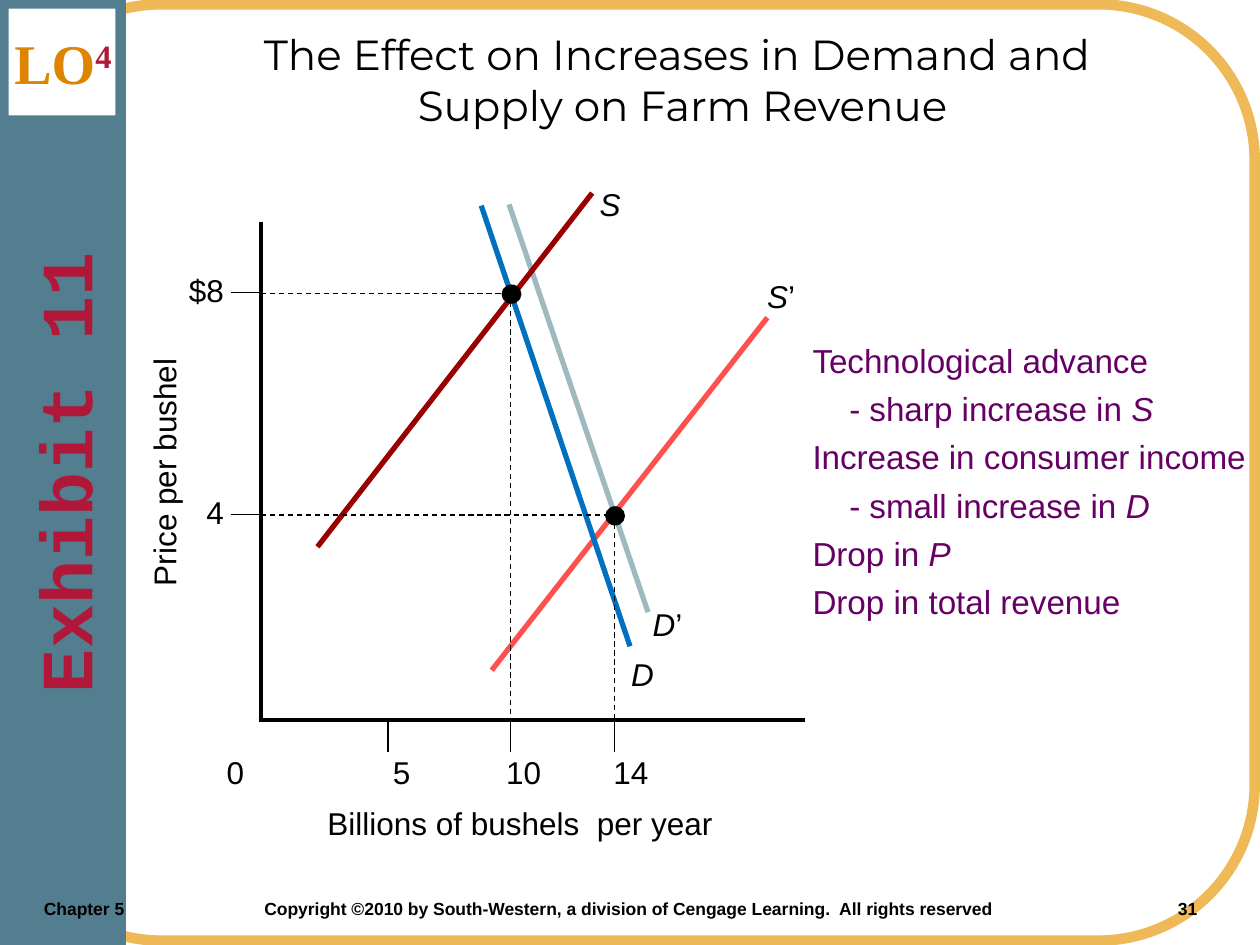
from lxml import etree
from pptx import Presentation
from pptx.dml.color import RGBColor
from pptx.enum.dml import MSO_LINE
from pptx.enum.shapes import MSO_CONNECTOR, MSO_SHAPE
from pptx.enum.text import MSO_ANCHOR, MSO_AUTO_SIZE, PP_ALIGN
from pptx.oxml.ns import qn
from pptx.util import Pt

CENTER, MIDDLE = PP_ALIGN.CENTER, MSO_ANCHOR.MIDDLE
FIT_SHAPE = MSO_AUTO_SIZE.SHAPE_TO_FIT_TEXT
STRAIGHT, DASH = MSO_CONNECTOR.STRAIGHT, MSO_LINE.DASH
RECT, ROUNDED, OVAL = MSO_SHAPE.RECTANGLE, MSO_SHAPE.ROUNDED_RECTANGLE, MSO_SHAPE.OVAL

COLORS = {
    "frame": "F0B957", "band": "537E90", "white": "FFFFFF", "black": "000000",
    "crimson": "B11738", "orange": "DD8401", "notes": "660066",
    "S": "990000", "S’": "FF5050", "D": "0070C0", "D’": "9FB9C1",
}

TITLE = "The Effect on Increases in Demand and \vSupply on Farm Revenue"
FOOTER = ("\tChapter 5\tCopyright ©2010 by South-Western, a division of "
          "Cengage Learning.  All rights reserved \t31")
FOOTER_TABS = (18, 144, 666)

# curve name, start, end, label box
CURVES = [
    ("S’", (438.5, 181.5), (281, 383), (431.3, 154.8, 32)),
    ("D’", (290.9, 116.8), (370.3, 349.8), (365.8, 342, 34)),
    ("D", (275, 117.5), (360, 369.3), (353.5, 370.8, 27.4)),
    ("S", (338.4, 110.3), (181.4, 312.5), (335.5, 102.2, 26.4)),
]
# (text, position on the axis, label start, label width)
QUANTITIES = [("5", 221.7, 217.4, 24.5), ("10", 291.8, 282.2, 34.6), ("14", 351, 343.4, 34.6)]
PRICES = [("$8", 167.6, 100.8, 34.6), ("4", 294.3, 110.9, 24.5)]
EQUILIBRIA = [("10", "$8"), ("14", "4")]
AXIS_X, AXIS_Y, AXIS_TOP, AXIS_RIGHT = 149, 411.3, 126.7, 460
TICK = 18.7
DOT_W, DOT_H = 11.4, 11
LABEL_H, LABEL_Y = 28.8, 427

# (text, trailing italic symbol, left indent)
NOTES = [
    ("Technological advance", "", 0),
    ("- sharp increase in ", "S", 21),
    ("Increase in consumer income", "", 0),
    ("- small increase in ", "D", 21),
    ("Drop in ", "P", 0),
    ("Drop in total revenue", "", 0),
]

prs = Presentation()
prs.slide_width, prs.slide_height = Pt(720), Pt(540)
slide = prs.slides.add_slide(prs.slide_layouts[6])


def rgb(name):
    return RGBColor.from_string(COLORS[name])


def add_box(kind, x, y, w, h, fill=None):
    s = slide.shapes.add_shape(kind, Pt(x), Pt(y), Pt(w), Pt(h))
    s.shadow.inherit = False
    s.line.fill.background()
    if fill:
        s.fill.solid()
        s.fill.fore_color.rgb = rgb(fill)
    else:
        s.fill.background()
    return s


def add_line(start, end, color="black", width=0.75, dash=None):
    s = slide.shapes.add_connector(STRAIGHT, *(Pt(v) for v in start + end))
    s.line.color.rgb = rgb(color)
    s.line.width = Pt(width)
    if dash:
        s.line.dash_style = dash
    etree.SubElement(s._element.spPr, qn("a:effectLst"))


def format_run(r, size, color="black", font="Arial", bold=False, italic=False):
    r.font.size, r.font.name = Pt(size), font
    r.font.bold, r.font.italic = bold, italic
    r.font.color.rgb = rgb(color)


def add_text(x, y, w, h, paragraphs, align=None, wrap=False, gap=0, **style):
    """Paragraphs are lists of (text, run style) pairs; style applies to all."""
    s = slide.shapes.add_textbox(Pt(x), Pt(y), Pt(w), Pt(h))
    tf = s.text_frame
    tf.word_wrap = wrap
    if not wrap:
        tf.auto_size = FIT_SHAPE
    for i, parts in enumerate(paragraphs):
        p = tf.add_paragraph() if i else tf.paragraphs[0]
        p.alignment = align
        if i:
            p.space_before = Pt(gap)
        for text, own in parts:
            for j, line in enumerate(text.split("\v")):
                if j:
                    p.add_line_break()
                r = p.add_run()
                r.text = line
                format_run(r, **{**style, **own})
    return s


def add_label(x, y, w, text, **options):
    return add_text(x, y, w, LABEL_H, [[(text, {})]], size=18, **options)


# Frame, side band and footer
frame = add_box(ROUNDED, 3, 2.5, 714, 535)
frame.line.color.rgb = rgb("frame")
frame.line.width = Pt(6)
add_box(RECT, 0, 0, 72, 540, "band")
add_box(RECT, 5, 5, 61, 61, "white")
footer = add_text(0, 509.8, 720, 30, [[(FOOTER, {})]], wrap=True, size=10, bold=True)
pPr = footer.text_frame.paragraphs[0]._p.get_or_add_pPr()
tabs = etree.SubElement(pPr, qn("a:tabLst"))
for pos in FOOTER_TABS:
    etree.SubElement(tabs, qn("a:tab"), pos=str(Pt(pos)), algn="l")

# Headings
badge = add_text(0, 13, 72, 46, [[("LO", {}), ("4", {"color": "crimson"})]], CENTER, True,
                 size=32, color="orange", font="Times New Roman", bold=True)
badge.text_frame.paragraphs[0].runs[1].font._element.set("baseline", "30000")
add_text(66, 13, 648, 65, [[(TITLE, {})]], CENTER, True, size=24, font="Montserrat")
exhibit = add_text(-234, 234, 540, 72, [[("Exhibit 11", {})]], CENTER, True,
                   size=42, color="crimson", font="Courier New", bold=True)
exhibit.text_frame.vertical_anchor = MIDDLE
exhibit.rotation = 270

# Curves
for name, start, end, (x, y, w) in CURVES:
    add_line(start, end, name, 3)
    parts = [(name[0], {"italic": True})] + [(mark, {}) for mark in name[1:]]
    add_text(x, y, w, LABEL_H, [parts], size=18)

# Axes, ticks and their labels
add_line((AXIS_X - 1, AXIS_Y), (AXIS_RIGHT, AXIS_Y), width=2.25)
add_line((AXIS_X, AXIS_TOP), (AXIS_X, AXIS_Y), width=2.25)
for text, x, label_x, w in QUANTITIES:
    add_line((x, AXIS_Y), (x, AXIS_Y + TICK))
    add_label(label_x, LABEL_Y, w, text)
for text, y, label_x, w in PRICES:
    add_line((AXIS_X - TICK + 1.5, y - 0.3), (AXIS_X, y - 0.3))
    add_label(label_x, y - 16, w, text)
add_label(122.4, LABEL_Y, 24.5, "0")
add_label(180, 455.8, 242, "Billions of bushels  per year", wrap=True)
add_label(18.6, 252.6, 150, "Price per bushel", wrap=True).rotation = 270

# Equilibrium points with their guides
at_quantity = {text: x for text, x, *_ in QUANTITIES}
at_price = {text: y for text, y, *_ in PRICES}
for quantity, price in EQUILIBRIA:
    x, y = at_quantity[quantity], at_price[price]
    add_line((AXIS_X, y), (x, y), dash=DASH)
    add_line((x, y), (x, AXIS_Y), dash=DASH)
    add_box(OVAL, x + 0.5 - DOT_W / 2, y + 0.5 - DOT_H / 2, DOT_W, DOT_H, "black")

# Notes
rows = [[(text, {})] + [(c, {"italic": True}) for c in symbol] for text, symbol, _ in NOTES]
notes = add_text(457.2, 190.8, 262, 168, rows, gap=4.8, size=19, color="notes")
for p, (_, _, indent) in zip(notes.text_frame.paragraphs, NOTES):
    p._p.get_or_add_pPr().set("marL", str(Pt(indent)))

prs.save("out.pptx")
